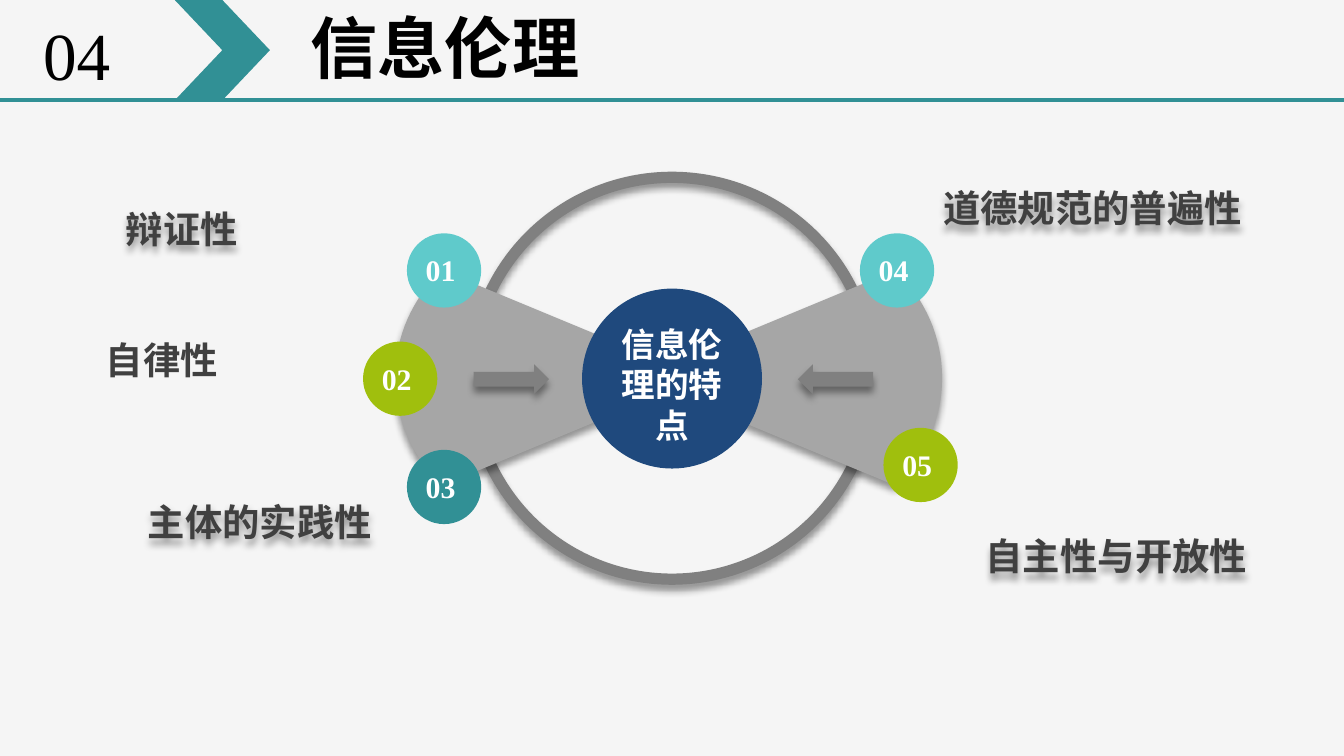
import math
from lxml import etree
from pptx import Presentation, util as u
from pptx.dml.color import RGBColor
from pptx.enum import shapes, text
from pptx.oxml import ns

Pt = u.Pt
SHAPE = shapes.MSO_SHAPE
PAPER = RGBColor(0xF5, 0xF5, 0xF5)
TEAL = RGBColor(0x31, 0x90, 0x95)
AQUA = RGBColor(0x5F, 0xCA, 0xCB)
LIME = RGBColor(0xA0, 0xBF, 0x0D)
NAVY = RGBColor(0x1F, 0x49, 0x7D)
GREY = RGBColor(0x80, 0x80, 0x80)
SILVER = RGBColor(0xA6, 0xA6, 0xA6)
INK = RGBColor(0x40, 0x40, 0x40)
WHITE = RGBColor(0xFF, 0xFF, 0xFF)
BLACK = RGBColor(0, 0, 0)


class Deck:
    """Slide style and the slide being drawn; lengths are in points."""
    font = "Times New Roman"

    def __init__(self, width, height):
        self.prs = Presentation()
        self.prs.slide_width, self.prs.slide_height = Pt(width), Pt(height)
        self.s = self.prs.slides.add_slide(self.prs.slide_layouts[6])
        self.s.background.fill.solid()
        self.s.background.fill.fore_color.rgb = PAPER

    def drop_shadow(self, sp):
        sp.shadow.inherit = False
        effects = sp._element.spPr.find(ns.qn("a:effectLst"))
        shadow = etree.SubElement(effects, ns.qn("a:outerShdw"), blurRad=str(Pt(4)),
                                  dist=str(Pt(3)), dir="5400000", rotWithShape="0")
        colour = etree.SubElement(shadow, ns.qn("a:srgbClr"), val="000000")
        etree.SubElement(colour, ns.qn("a:alpha"), val="40000")

    def paint(self, sp, fill, shadow):
        sp.fill.solid()
        sp.fill.fore_color.rgb = fill
        sp.line.fill.background()
        sp.shadow.inherit = False
        if shadow:
            self.drop_shadow(sp)

    def shape(self, kind, x, y, w, h, fill, shadow=False):
        sp = self.s.shapes.add_shape(kind, Pt(x), Pt(y), Pt(w), Pt(h))
        self.paint(sp, fill, shadow)
        return sp

    def ring(self, x, y, size, colour, weight):
        sp = self.shape(SHAPE.OVAL, x, y, size, size, colour, shadow=True)
        sp.fill.background()
        sp.line.color.rgb = colour
        sp.line.width = Pt(weight)

    def outline(self, points, fill):
        points = [(Pt(x), Pt(y)) for x, y in points]
        builder = self.s.shapes.build_freeform(*points[0])
        builder.add_line_segments(points[1:], close=True)
        self.paint(builder.convert_to_shape(), fill, shadow=True)

    def line(self, x1, y1, x2, y2, colour, weight):
        sp = self.s.shapes.add_connector(shapes.MSO_CONNECTOR.STRAIGHT,
                                         Pt(x1), Pt(y1), Pt(x2), Pt(y2))
        sp.line.color.rgb = colour
        sp.line.width = Pt(weight)
        etree.SubElement(sp._element.spPr, ns.qn("a:effectLst"))

    def text(self, words, x, y, w, h, size, colour, bold=True, wrap=True,
             insets=(7.2, 3.6), align=text.PP_ALIGN.LEFT, shadow=False):
        sp = self.s.shapes.add_textbox(Pt(x), Pt(y), Pt(w), Pt(h))
        tf = sp.text_frame
        side, edge = map(Pt, insets)
        frame = {"word_wrap": wrap, "auto_size": text.MSO_AUTO_SIZE.SHAPE_TO_FIT_TEXT,
                 "margin_left": side, "margin_right": side,
                 "margin_top": edge, "margin_bottom": edge}
        for name, value in frame.items():
            setattr(tf, name, value)
        p = tf.paragraphs[0]
        p.alignment = align
        r = p.add_run()
        r.text = words
        for name, value in {"name": self.font, "size": Pt(size), "bold": bold}.items():
            setattr(r.font, name, value)
        r.font.color.rgb = colour
        if shadow:
            self.drop_shadow(sp)

    def badge(self, number, x, y, fill):
        self.shape(SHAPE.OVAL, x, y, 39.8, 39.8, fill)
        self.text(number, x + 3, y + 6.5, 31, 26.6, 16, WHITE, wrap=False)


def wedge(side):
    """Fan with its tip near the hub; side is 1 for right, -1 for left."""
    axis, middle, radius, half = 358.2, 202.5, 78.5, 47.2
    steps = 32
    angles = [math.radians(half * (2 * i / steps - 1)) for i in range(steps + 1)]
    arc = [(axis + side * (68 + radius * math.cos(a)), middle + radius * math.sin(a))
           for a in angles]
    return [(axis - side * 17.6, middle)] + arc


def main():
    deck = Deck(720, 405)

    # Ring and fans
    deck.ring(252.3, 95, 215.3, GREY, 6)
    for side in (1, -1):
        deck.outline(wedge(side), SILVER)

    # Numbered badges
    for number, x, y, fill in (("01", 218, 125, AQUA), ("02", 194.5, 183, LIME),
                               ("03", 218, 241, TEAL), ("04", 460.7, 125, AQUA),
                               ("05", 473.3, 229.2, LIME)):
        deck.badge(number, x, y, fill)

    # Hub and arrows
    deck.shape(SHAPE.OVAL, 311.8, 154.6, 96.4, 96.4, NAVY)
    deck.text("信息伦理的特点", 322.3, 170, 75.6, 72.7, 18, WHITE,
              align=text.PP_ALIGN.CENTER)
    for kind, x in ((SHAPE.RIGHT_ARROW, 253.8), (SHAPE.LEFT_ARROW, 427.5)):
        deck.shape(kind, x, 195.2, 40.3, 16, GREY, shadow=True)

    # Feature labels
    for words, x, y, w, shadow in (("辩证性", 67.5, 110.2, 78, True),
                                   ("自律性", 56.8, 180.6, 127.4, False),
                                   ("主体的实践性", 79.2, 267.2, 127.4, True),
                                   ("道德规范的普遍性", 505.2, 99.4, 178, True),
                                   ("自主性与开放性", 528, 285.8, 150, True)):
        deck.text(words, x, y, w, 24.5, 20, INK, insets=(0, 0), shadow=shadow)

    # Header
    deck.line(0, 53.8, 720, 53.8, TEAL, 2.25)
    deck.text("信息伦理", 160.5, 0.7, 367, 54.7, 36, BLACK, insets=(5.8, 2.9))
    deck.shape(SHAPE.CHEVRON, 93.6, 0, 51, 53.8, TEAL)
    deck.text("04", 17.3, 4.3, 48.2, 49.7, 36, BLACK, bold=False, wrap=False,
              insets=(5.8, 2.9))

    deck.prs.save("out.pptx")


if __name__ == "__main__":
    main()
